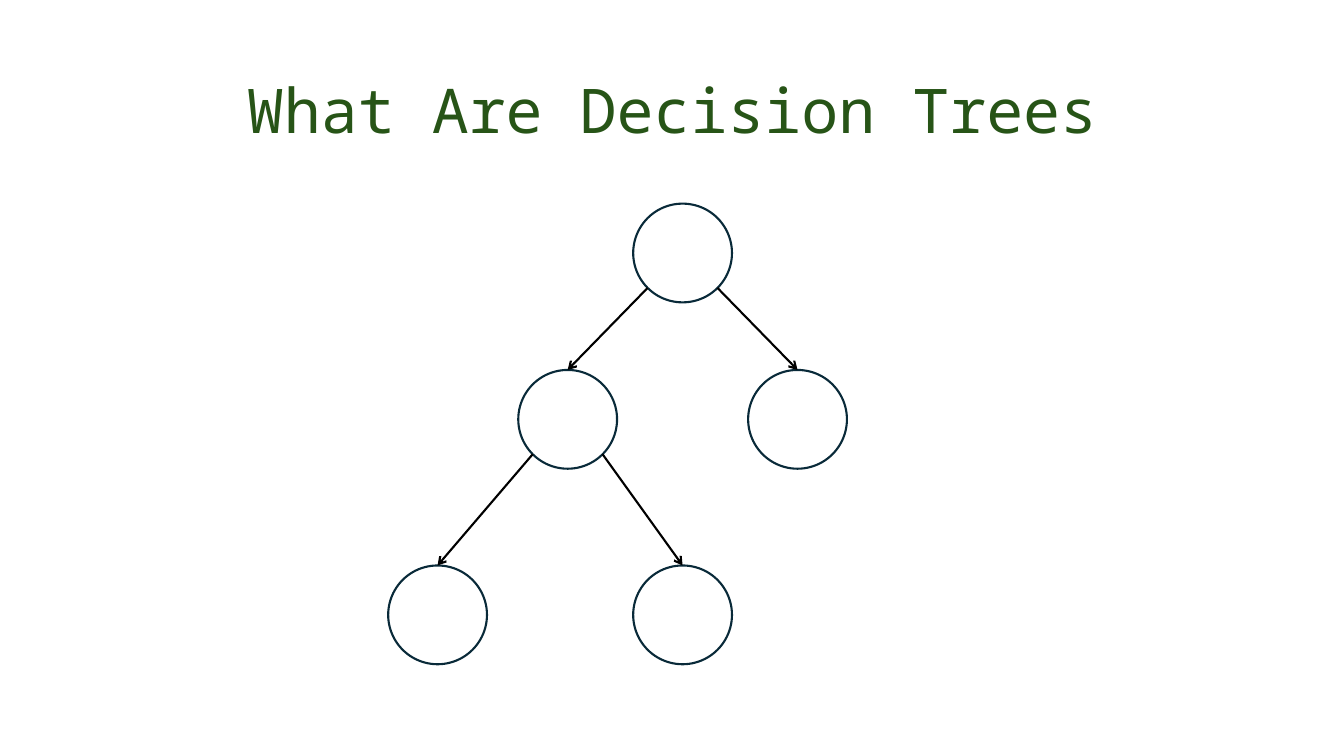
from math import sqrt

from lxml.etree import SubElement
from pptx import Presentation
from pptx.dml.color import RGBColor
from pptx.enum.shapes import MSO_CONNECTOR, MSO_SHAPE
from pptx.enum.text import MSO_ANCHOR, PP_ALIGN
from pptx.oxml.ns import qn
from pptx.util import Inches, Pt

GREEN = RGBColor(0x27, 0x54, 0x17)
NAVY = RGBColor(0x09, 0x2A, 0x39)
BLACK = RGBColor(0, 0, 0)

NODE_SIZE = 0.98
# Left and top of each node, in inches
NODES = {
    "root": (6.28, 2.02),
    "right": (7.42, 3.67),
    "left": (5.14, 3.67),
    "left right": (6.28, 5.61),
    "left left": (3.85, 5.61),
}
BRANCHES = [
    ("root", "left"),
    ("root", "right"),
    ("left", "left right"),
    ("left", "left left"),
]


class TreeSlide:
    font = "Noto Sans Mono"
    line_width = Pt(1.5)

    def __init__(self, presentation):
        self.slide = presentation.slides.add_slide(presentation.slide_layouts[5])

    def add_title(self, wording):
        title = self.slide.shapes.title
        title.left, title.top = Inches(0.92), Inches(0.4)
        title.width, title.height = Inches(11.5), Inches(1.45)
        frame = title.text_frame
        frame.text = wording
        frame.word_wrap = True
        frame.vertical_anchor = MSO_ANCHOR.MIDDLE
        heading = frame.paragraphs[0]
        heading.alignment = PP_ALIGN.CENTER
        heading.line_spacing = 0.9
        font = heading.runs[0].font
        font.name, font.size = self.font, Pt(44)
        font.color.rgb = GREEN

    def add_node(self, left, top):
        node = self.slide.shapes.add_shape(
            MSO_SHAPE.FLOWCHART_CONNECTOR,
            Inches(left), Inches(top), Inches(NODE_SIZE), Inches(NODE_SIZE),
        )
        node.shadow.inherit = False
        node.fill.background()
        node.line.color.rgb = NAVY
        node.line.width = self.line_width
        return node

    def add_branch(self, parent, child):
        """Draw an arrow from the parent's lower diagonal to the child's top."""
        radius = parent.width / 2
        diagonal = radius / sqrt(2)
        side = 1 if child.left > parent.left else -1
        start_x = int(parent.left + radius + side * diagonal)
        start_y = int(parent.top + radius + diagonal)
        branch = self.slide.shapes.add_connector(
            MSO_CONNECTOR.STRAIGHT,
            start_x, start_y, child.left + child.width // 2, child.top,
        )
        branch.end_connect(child, 0)
        branch.line.color.rgb = BLACK
        branch.line.width = self.line_width
        SubElement(branch.line._get_or_add_ln(), qn("a:tailEnd"), type="arrow")
        SubElement(branch._element.spPr, qn("a:effectLst"))


def main():
    presentation = Presentation()
    presentation.slide_width = Inches(13.33)
    presentation.slide_height = Inches(7.5)
    tree = TreeSlide(presentation)
    tree.add_title("What Are Decision Trees")
    nodes = {name: tree.add_node(*corner) for name, corner in NODES.items()}
    for parent, child in BRANCHES:
        tree.add_branch(nodes[parent], nodes[child])
    presentation.save("out.pptx")


if __name__ == "__main__":
    main()
